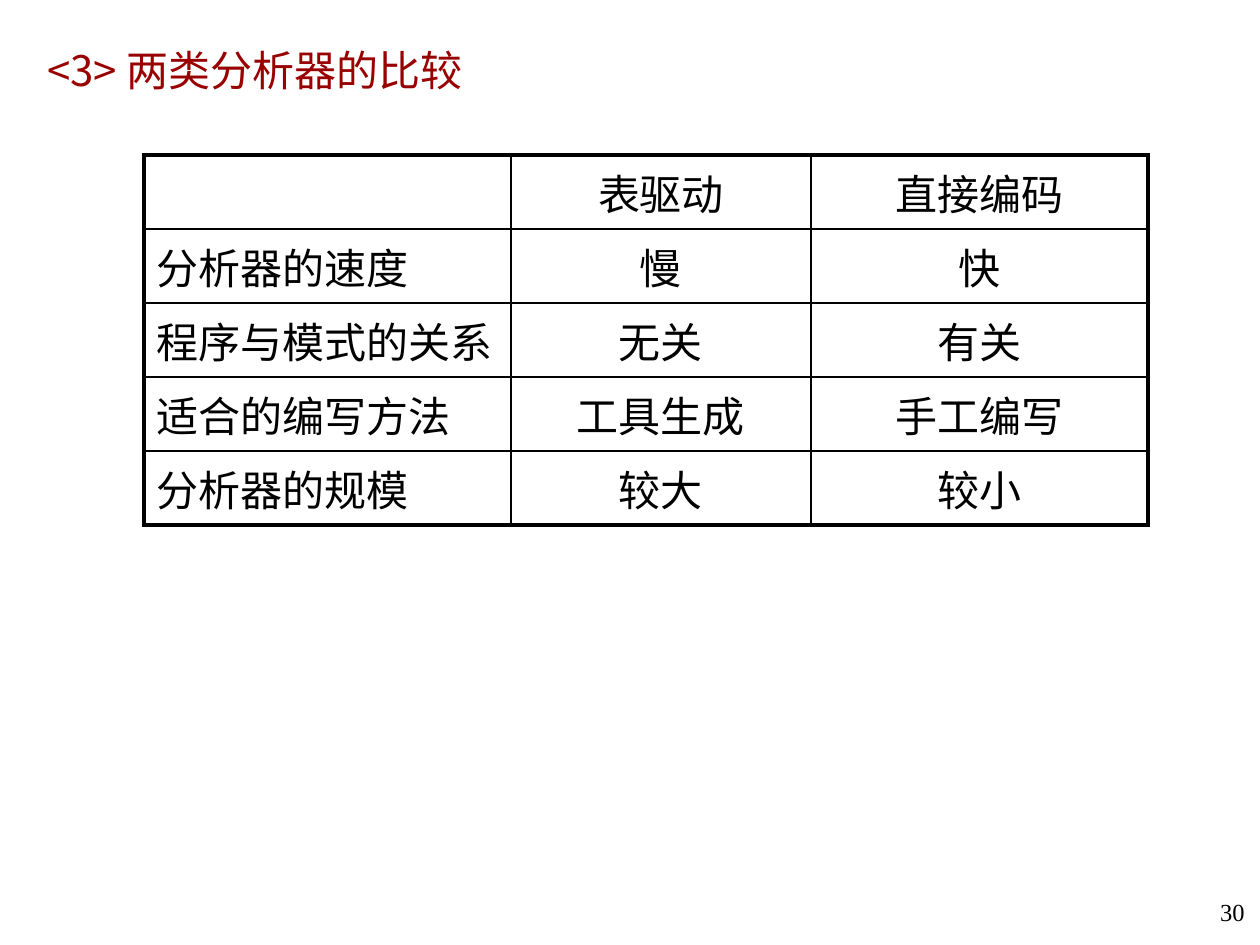
import pptx
import pptx.dml.color
import pptx.enum.text
import pptx.oxml
import pptx.oxml.ns
import pptx.util

SCALE = 914400 / 126
SANS = "Noto Sans CJK SC"
SERIF = "Times New Roman"
ALIGN = pptx.enum.text.PP_ALIGN
MIDDLE = pptx.enum.text.MSO_ANCHOR.MIDDLE

ROWS = [
    ["", "表驱动", "直接编码"],
    ["分析器的速度", "慢", "快"],
    ["程序与模式的关系", "无关", "有关"],
    ["适合的编写方法", "工具生成", "手工编写"],
    ["分析器的规模", "较大", "较小"],
]


def px(n):
    return pptx.util.Emu(round(n * SCALE))


def color(code):
    return pptx.dml.color.RGBColor.from_string(code)


def write(frame, text, size, code, font, align):
    para = frame.paragraphs[0]
    para.alignment = align
    run = para.add_run()
    run.text = text
    run.font.size = pptx.util.Pt(size)
    run.font.name = font
    run.font.color.rgb = color(code)
    east = pptx.oxml.parse_xml(
        f'<a:ea {pptx.oxml.ns.nsdecls("a")} typeface="{SANS}"/>')
    run.font._element.find(pptx.oxml.ns.qn("a:latin")).addnext(east)


def label(slide, box, text, size, code, font, align):
    frame = slide.shapes.add_textbox(*map(px, box)).text_frame
    frame.word_wrap = True
    frame.vertical_anchor = MIDDLE
    write(frame, text, size, code, font, align)


def border(cell, side, width):
    line = pptx.oxml.parse_xml(
        f'<a:ln{side} {pptx.oxml.ns.nsdecls("a")} w="{pptx.util.Pt(width)}">'
        '<a:solidFill><a:srgbClr val="000000"/></a:solidFill>'
        f'</a:ln{side}>')
    cell._tc.get_or_add_tcPr().append(line)


def grid(slide, box, widths, rows):
    """Draw a table with thin inner lines and a thick outer frame."""
    table = slide.shapes.add_table(len(rows), len(widths), *map(px, box)).table
    table.first_row = table.horz_banding = False
    for col, width in zip(table.columns, widths):
        col.width = px(width)
    for r, row in enumerate(rows):
        table.rows[r].height = px(box[3] / len(rows))
        for c, text in enumerate(row):
            cell = table.cell(r, c)
            edges = {"L": c == 0, "R": c == len(widths) - 1,
                     "T": r == 0, "B": r == len(rows) - 1}
            for side, outer in edges.items():
                border(cell, side, 2.25 if outer else 1)
            cell.fill.background()
            cell.vertical_anchor = MIDDLE
            if text:
                align = ALIGN.CENTER if c else ALIGN.LEFT
                write(cell.text_frame, text, 24, "000000", SERIF, align)


def main():
    deck = pptx.Presentation()
    deck.slide_width, deck.slide_height = px(1260), px(945)
    slide = deck.slides.add_slide(deck.slide_layouts[6])
    label(slide, (995, 890, 262, 44), "30", 14, "000000", SERIF, ALIGN.RIGHT)
    label(slide, (35, 43, 1071, 53), "<3> 两类分析器的比较", 24, "990000",
          SANS, ALIGN.LEFT)
    grid(slide, (144, 155, 1004, 370), (367, 300, 337), ROWS)
    deck.save("out.pptx")


if __name__ == "__main__":
    main()
